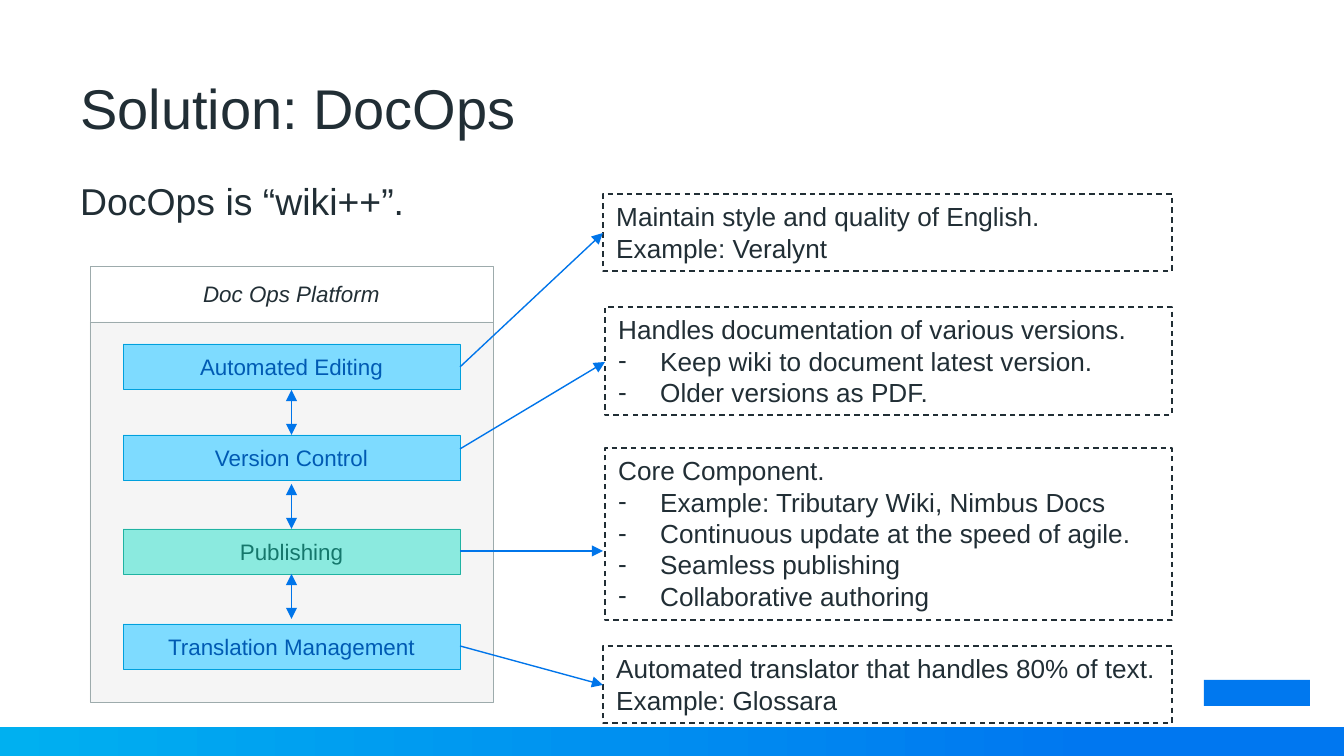
from lxml import etree
from pptx import Presentation
from pptx.dml.color import RGBColor
from pptx.enum.dml import MSO_LINE
from pptx.enum.shapes import MSO_CONNECTOR, MSO_SHAPE
from pptx.enum.text import MSO_ANCHOR, PP_ALIGN
from pptx.oxml.ns import qn
from pptx.util import Pt

RECTANGLE, STRAIGHT = MSO_SHAPE.RECTANGLE, MSO_CONNECTOR.STRAIGHT
TOP, MIDDLE = MSO_ANCHOR.TOP, MSO_ANCHOR.MIDDLE
LEFT, CENTER = PP_ALIGN.LEFT, PP_ALIGN.CENTER
DASH = MSO_LINE.DASH

INK = RGBColor(0x21, 0x2E, 0x35)
WHITE = RGBColor(0xFF, 0xFF, 0xFF)
PANEL = RGBColor(0xF5, 0xF5, 0xF5)
PANEL_EDGE = RGBColor(0x9D, 0xAB, 0xAC)
ARROW = RGBColor(0x00, 0x75, 0xEA)
MARK = RGBColor(0x00, 0x78, 0xEF)
FOOTER_START = RGBColor(0x00, 0xB0, 0xF0)
FOOTER_END = RGBColor(0x00, 0x77, 0xF0)
SKY = (RGBColor(0x7E, 0xDB, 0xFF), RGBColor(0x00, 0xA0, 0xDD), RGBColor(0x00, 0x5A, 0xB3))
MINT = (RGBColor(0x8B, 0xEA, 0xDF), RGBColor(0x20, 0xB3, 0xA2), RGBColor(0x15, 0x77, 0x6C))

SLIDE_W, SLIDE_H = 1344, 756
EMU_PER_PX = 9144000 / SLIDE_W
FONT = "Arial"

TITLE = "Solution: DocOps"
SUMMARY = "DocOps is “wiki++”."
PLATFORM = "Doc Ops Platform"
MODULES = [
    ("Automated Editing", 344, SKY),
    ("Version Control", 435, SKY),
    ("Publishing", 529, MINT),
    ("Translation Management", 624, SKY),
]
MODULE_X, MODULE_W, MODULE_H = 123, 337, 45
LINK_TOPS = [390, 484, 574]
LINK_H = 45
NOTES = [
    ((603, 194, 77), ["Maintain style and quality of English.", "Example: Veralynt"], []),
    ((605, 307, 108), ["Handles documentation of various versions."],
     ["Keep wiki to document latest version.", "Older versions as PDF."]),
    ((605, 448, 172), ["Core Component."],
     ["Example: Tributary Wiki, Nimbus Docs", "Continuous update at the speed of agile.",
      "Seamless publishing", "Collaborative authoring"]),
    ((603, 646, 77), ["Automated translator that handles 80% of text.", "Example: Glossara"], []),
]
NOTE_RIGHT = 1172
BULLET_INDENT = 42
POINTERS = [(367, 603, 233), (449, 605, 362), (551, 603, 551), (646, 603, 685)]


def px(length):
    return round(length * EMU_PER_PX)


def write(frame, lines, size, color, align=LEFT, anchor=TOP, italic=False):
    frame.word_wrap = True
    frame.vertical_anchor = anchor
    for index, line in enumerate(lines):
        paragraph = frame.paragraphs[0] if index == 0 else frame.add_paragraph()
        paragraph.alignment = align
        run = paragraph.add_run()
        run.text = line
        run.font.name = FONT
        run.font.size = Pt(size)
        run.font.color.rgb = color
        run.font.italic = italic


def add_heading(slide, box, text, size, anchor):
    heading = slide.shapes.add_textbox(*map(px, box))
    write(heading.text_frame, [text], size, INK, anchor=anchor)


def add_box(slide, box, fill=None, edge=None, weight=0.25):
    shape = slide.shapes.add_shape(RECTANGLE, *map(px, box))
    shape.shadow.inherit = False
    if fill is None:
        shape.fill.background()
    else:
        shape.fill.solid()
        shape.fill.fore_color.rgb = fill
    if edge is None:
        shape.line.fill.background()
    else:
        shape.line.color.rgb = edge
        shape.line.width = Pt(weight)
    return shape


def add_arrow(slide, x1, y1, x2, y2, ends=("tailEnd",)):
    arrow = slide.shapes.add_connector(STRAIGHT, px(x1), px(y1), px(x2), px(y2))
    arrow.line.color.rgb = ARROW
    arrow.line.width = Pt(0.75)
    outline = arrow.line._get_or_add_ln()
    for end in ends:
        etree.SubElement(outline, qn(f"a:{end}"), type="triangle")
    etree.SubElement(arrow._element.spPr, qn("a:effectLst"))


def add_dash_bullet(paragraph):
    properties = paragraph._p.get_or_add_pPr()
    properties.set("marL", str(px(BULLET_INDENT)))
    properties.set("indent", str(-px(BULLET_INDENT)))
    etree.SubElement(properties, qn("a:buFont"), typeface=FONT)
    etree.SubElement(properties, qn("a:buChar"), char="-")


def add_note(slide, place, lines, bullets):
    x, y, height = place
    note = add_box(slide, (x, y, NOTE_RIGHT - x, height), edge=INK, weight=0.75)
    note.line.dash_style = DASH
    write(note.text_frame, lines + bullets, 14, INK)
    for paragraph in note.text_frame.paragraphs[len(lines):]:
        add_dash_bullet(paragraph)


def add_footer(slide):
    footer = add_box(slide, (0, 727, SLIDE_W, SLIDE_H - 727))
    footer.fill.gradient()
    footer.fill.gradient_angle = 0
    stops = footer.fill.gradient_stops
    for stop, position, color in zip(stops, (0, 0.82), (FOOTER_START, FOOTER_END)):
        stop.position = position
        stop.color.rgb = color
    add_box(slide, (1204, 680, 106, 26), MARK)


def main():
    deck = Presentation()
    deck.slide_width, deck.slide_height = px(SLIDE_W), px(SLIDE_H)
    slide = deck.slides.add_slide(deck.slide_layouts[6])

    add_footer(slide)
    add_heading(slide, (67, 172, 1210, 78), SUMMARY, 20, TOP)
    add_heading(slide, (67, 42, 1210, 130), TITLE, 30, MIDDLE)

    header = add_box(slide, (90, 266, 403, 56), WHITE, PANEL_EDGE)
    write(header.text_frame, [PLATFORM], 12, INK, CENTER, MIDDLE, italic=True)
    add_box(slide, (90, 322, 403, 380), PANEL, PANEL_EDGE)

    for name, top, (fill, edge, ink) in MODULES:
        module = add_box(slide, (MODULE_X, top, MODULE_W, MODULE_H), fill, edge)
        write(module.text_frame, [name], 12, ink, CENTER, MIDDLE)

    link_x = MODULE_X + MODULE_W / 2
    for top in LINK_TOPS:
        add_arrow(slide, link_x, top, link_x, top + LINK_H, ("headEnd", "tailEnd"))

    for place, lines, bullets in NOTES:
        add_note(slide, place, lines, bullets)

    for start_y, end_x, end_y in POINTERS:
        add_arrow(slide, MODULE_X + MODULE_W, start_y, end_x, end_y)

    deck.save("out.pptx")


if __name__ == "__main__":
    main()
